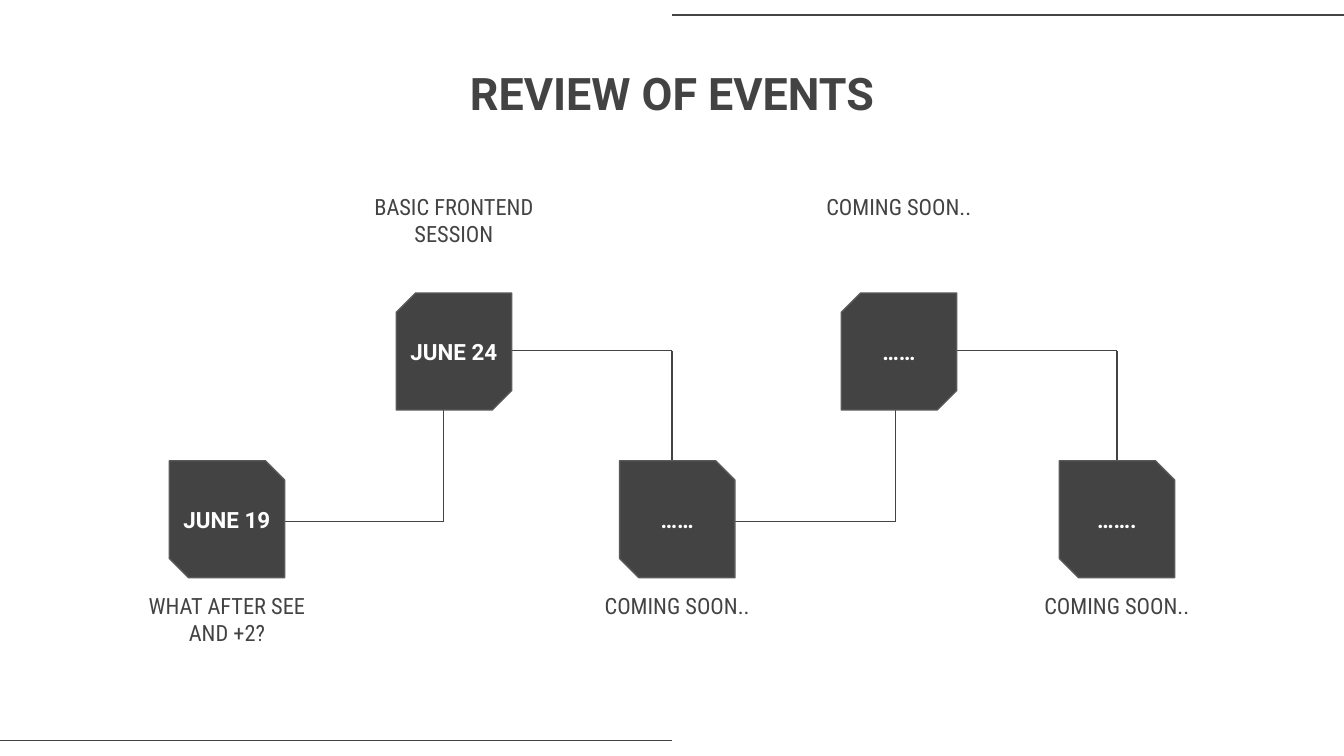
from lxml import etree
from pptx import Presentation
from pptx.dml.color import RGBColor
from pptx.enum.shapes import MSO_CONNECTOR, MSO_SHAPE
from pptx.enum.text import MSO_ANCHOR, PP_ALIGN
from pptx.oxml.ns import qn
from pptx.util import Cm, Pt

LINE = MSO_CONNECTOR.STRAIGHT
SNIP = MSO_SHAPE.SNIP_2_DIAG_RECTANGLE
TOP, MIDDLE = MSO_ANCHOR.TOP, MSO_ANCHOR.MIDDLE
CENTER = PP_ALIGN.CENTER

DARK = RGBColor(0x43, 0x43, 0x43)
EDGE = RGBColor(0x59, 0x59, 0x59)
WHITE = RGBColor(0xFF, 0xFF, 0xFF)

TITLE = "REVIEW OF EVENTS"
EVENTS = [
    ("JUNE 19", "WHAT AFTER SEE AND +2?", 3.2),
    ("JUNE 24", "BASIC FRONTEND SESSION", 7.49),
    ("……", "COMING SOON..", 11.71),
    ("……", "COMING SOON..", 15.9),
    ("…….", "COMING SOON..", 20.02),
]
TURNS = [8.38, 12.7, 16.92, 21.11]

WIDE, HIGH = 25.4, 14.29
BOX_W, BOX_H = 2.18, 2.21
NOTE_W, NOTE_H = 3.91, 1.68
SNIP_SIZE = 0.167
LOW = {"box": 8.71, "line": 9.86, "note": 10.95, "snips": (0, SNIP_SIZE)}
UP = {"box": 5.54, "line": 6.63, "note": 3.4, "snips": (SNIP_SIZE, 0)}
ROWS = [LOW, UP]


def write(shape, text, size, font, color, bold, anchor, wrap):
    frame = shape.text_frame
    frame.word_wrap = wrap
    frame.vertical_anchor = anchor
    frame.margin_left = frame.margin_right = Cm(0.25)
    frame.margin_top = frame.margin_bottom = Cm(0.25)
    para = frame.paragraphs[0]
    para.alignment = CENTER
    run = para.add_run()
    run.text = text
    run.font.size = Pt(size)
    run.font.name = font
    run.font.bold = bold
    run.font.color.rgb = color


def draw_line(slide, x1, y1, x2, y2):
    line = slide.shapes.add_connector(LINE, Cm(x1), Cm(y1), Cm(x2), Cm(y2))
    line.line.color.rgb = DARK
    line.line.width = Pt(0.75)
    etree.SubElement(line._element.spPr, qn("a:effectLst"))


def draw_box(slide, date, left, row):
    box = slide.shapes.add_shape(
        SNIP, Cm(left), Cm(row["box"]), Cm(BOX_W), Cm(BOX_H))
    box.shadow.inherit = False
    for i, snip in enumerate(row["snips"]):
        box.adjustments[i] = snip
    box.fill.solid()
    box.fill.fore_color.rgb = DARK
    box.line.color.rgb = EDGE
    box.line.width = Pt(0.75)
    write(box, date, 12, "Roboto", WHITE, True, MIDDLE, False)


def draw_note(slide, text, left, row):
    start = left + (BOX_W - NOTE_W) / 2
    note = slide.shapes.add_textbox(
        Cm(start), Cm(row["note"]), Cm(NOTE_W), Cm(NOTE_H))
    write(note, text, 12, "Roboto Condensed", DARK, False, TOP, True)


def main():
    deck = Presentation()
    deck.slide_width, deck.slide_height = Cm(WIDE), Cm(HIGH)
    slide = deck.slides.add_slide(deck.slide_layouts[5])

    title = slide.shapes.title
    title.left, title.top = Cm(5.46), Cm(0.99)
    title.width, title.height = Cm(14.48), Cm(2.62)
    write(title, TITLE, 24, "Roboto", DARK, True, TOP, True)

    draw_line(slide, WIDE / 2, 0.28, WIDE, 0.28)
    draw_line(slide, 0, HIGH - 0.29, WIDE / 2, HIGH - 0.29)

    for i, turn in enumerate(TURNS):
        row, dest = ROWS[i % 2], ROWS[(i + 1) % 2]
        side = EVENTS[i][2] + BOX_W
        end = dest["box"] + (BOX_H if dest is UP else 0)
        draw_line(slide, side, row["line"], turn, row["line"])
        draw_line(slide, turn, row["line"], turn, end)

    for i, (date, text, left) in enumerate(EVENTS):
        row = ROWS[i % 2]
        draw_box(slide, date, left, row)
        draw_note(slide, text, left, row)

    deck.save("out.pptx")


if __name__ == "__main__":
    main()
